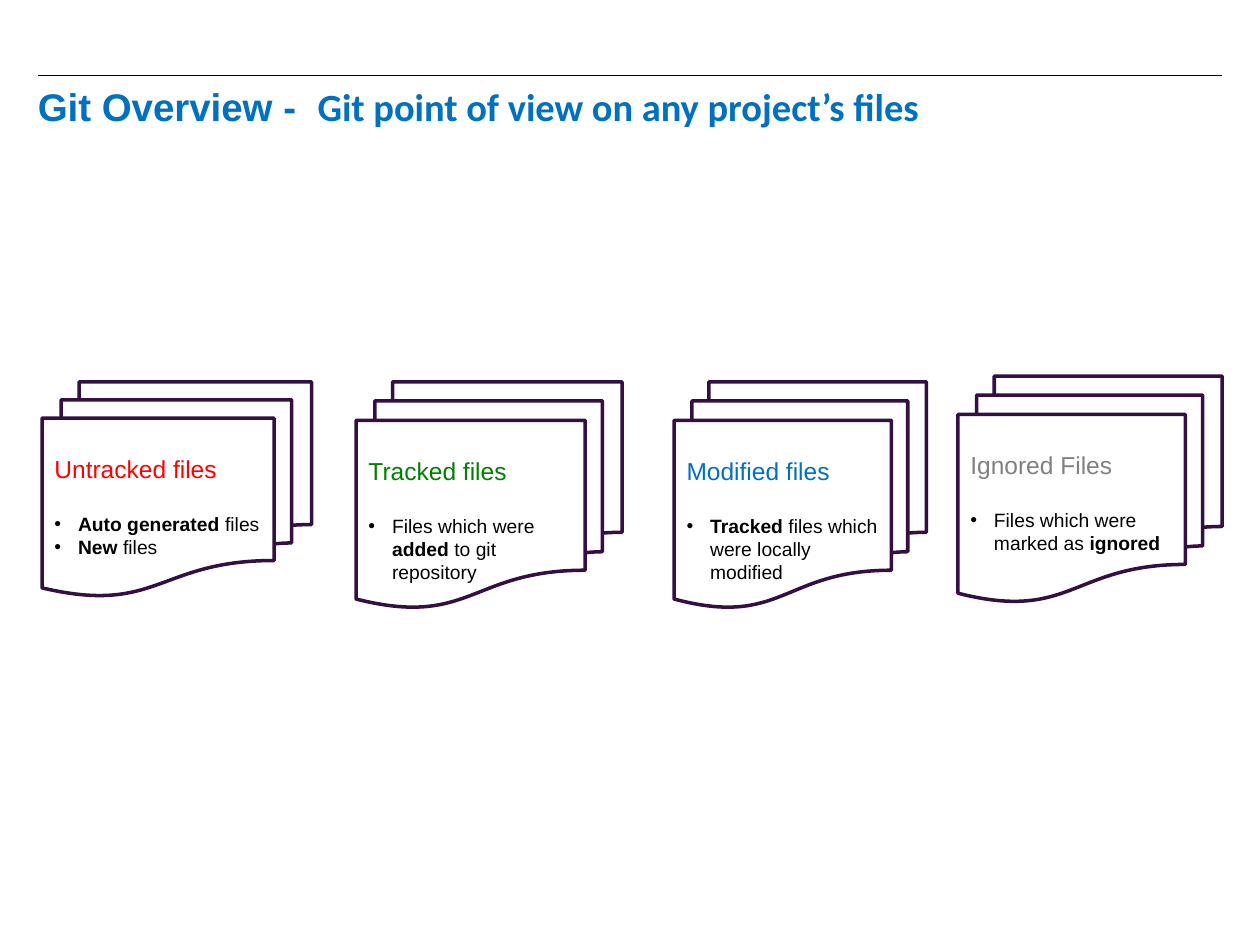
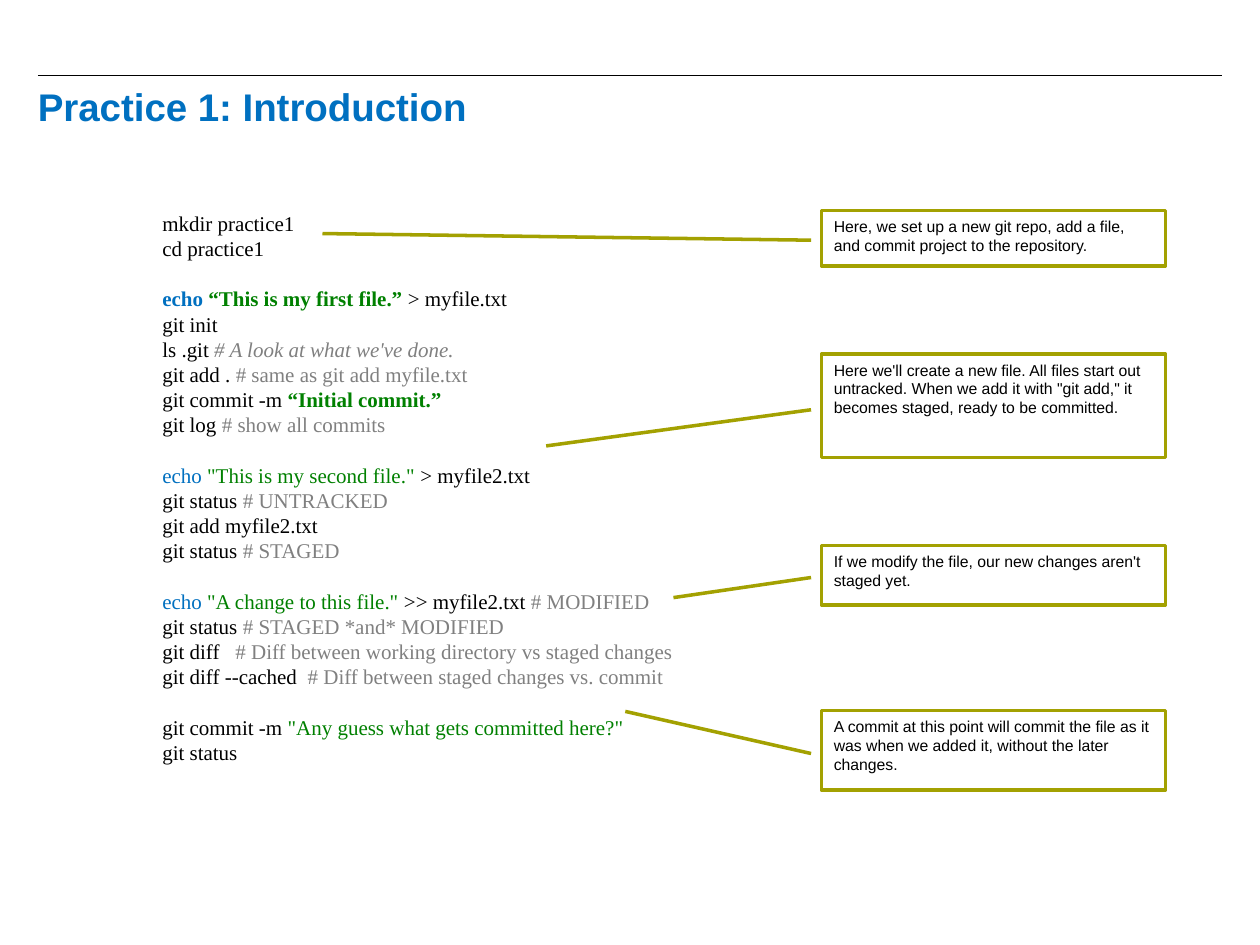
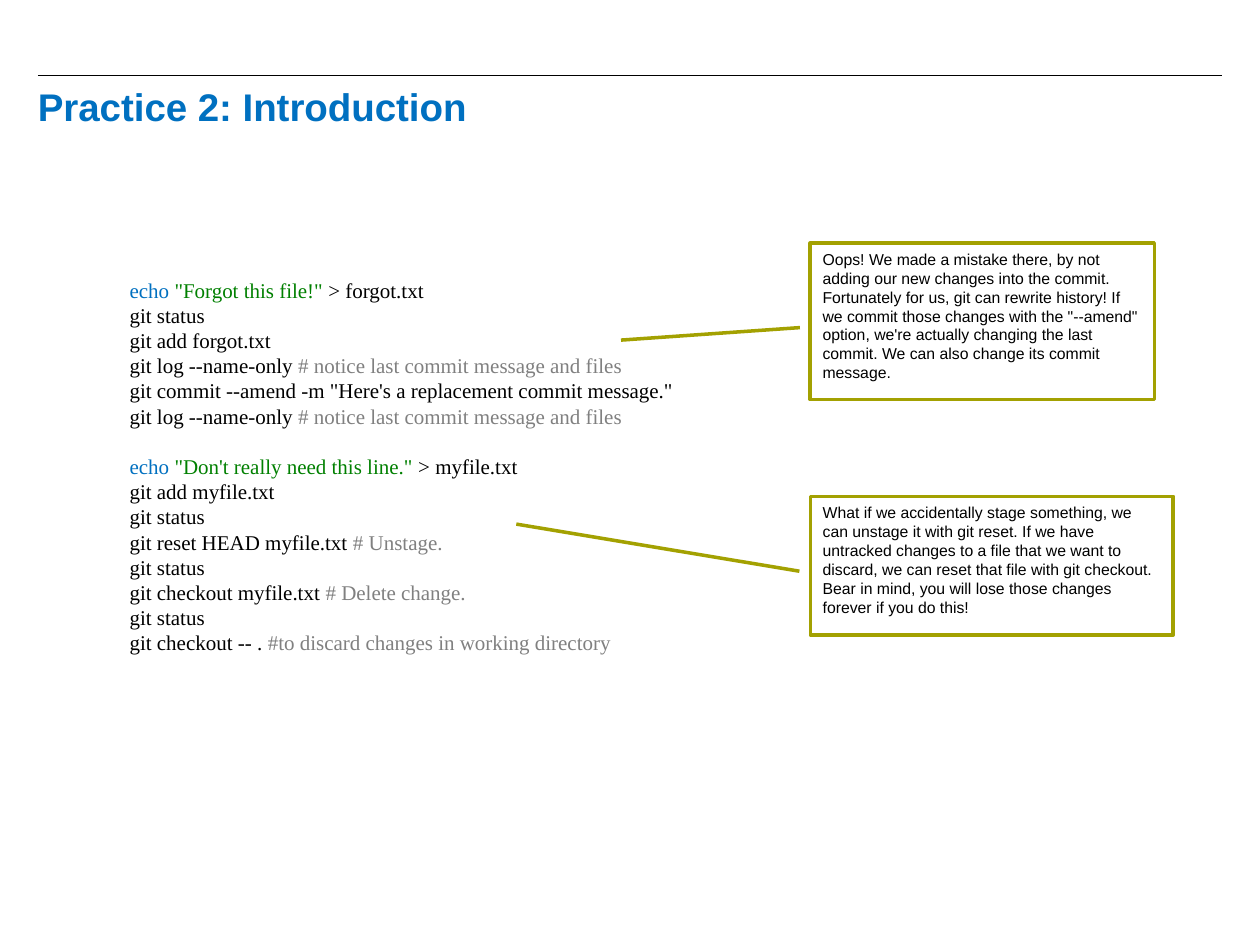
"""Build three slides on Git: file states and two command-line practices."""
import pptx
import pptx.dml.color
import pptx.enum.shapes
import pptx.enum.text
import pptx.oxml
import pptx.oxml.ns
import pptx.util

Pt = pptx.util.Pt
SHAPE = pptx.enum.shapes.MSO_SHAPE
TOP = pptx.enum.text.MSO_ANCHOR.TOP
ALIGN = pptx.enum.text.PP_ALIGN
NS = pptx.oxml.ns.nsdecls("a")

BLACK, WHITE, BLUE, GREEN = "000000", "FFFFFF", "0070C0", "008000"
RED, GRAY, PURPLE, OLIVE = "FF0000", "808080", "330F42", "A3A101"
CODE_LINE = 14.4
CARD_GAP = 16.6


def rgb(value):
    """Turn a hex string into a colour."""
    return pptx.dml.color.RGBColor.from_string(value)


def write(p, runs, size, font="Arial"):
    """Add runs given as (text, colour, optional style letters b and i)."""
    for text, color, *style in runs:
        r = p.add_run()
        r.text = text
        r.font.name = font
        r.font.size = Pt(size)
        r.font.color.rgb = rgb(color)
        r.font.bold = "b" in style
        r.font.italic = "i" in style


titles = [
    [("Git Overview -  ", BLUE, "b"), ("Git point of view on any project’s files", BLUE, "b")],
    [("Practice 1: Introduction", BLUE, "b")],
    [("Practice 2: Introduction", BLUE, "b")],
]

cards = [
    (24, 218.2, 154, 122.4, "Untracked files", RED,
     [[("Auto generated ", BLACK, "b"), ("files", BLACK)],
      [("New ", BLACK, "b"), ("files", BLACK)]]),
    (203.5, 218.2, 152, 129, "Tracked files", GREEN,
     [[("Files which were ", BLACK), ("added ", BLACK, "b"), ("to git repository", BLACK)]]),
    (385.2, 218.2, 144.2, 129, "Modified files", BLUE,
     [[("Tracked", BLACK, "b"), (" files which were locally modified", BLACK)]]),
    (547.4, 214.9, 151, 129, "Ignored Files", GRAY,
     [[("Files which were marked as ", BLACK), ("ignored", BLACK, "b")]]),
]

practice1 = [
    [
        [("mkdir practice1", BLACK)],
        [("cd practice1", BLACK)],
    ], [
        [("echo ", BLUE, "b"), ("“This is my first file.” ", GREEN, "b"), ("> myfile.txt", BLACK)],
        [("git init", BLACK)],
        [("ls .git ", BLACK), ("# A look at what we've done.", GRAY, "i")],
        [("git add . ", BLACK), ("# same as git add myfile.txt", GRAY)],
        [("git commit -m ", BLACK), ("“Initial commit.”", GREEN, "b")],
        [("git log ", BLACK), ("# show all commits", GRAY)],
    ], [
        [("echo ", BLUE), ("\"This is my second file.\" ", GREEN), ("> myfile2.txt", BLACK)],
        [("git status ", BLACK), ("# UNTRACKED", GRAY)],
        [("git add myfile2.txt", BLACK)],
        [("git status ", BLACK), ("# STAGED", GRAY)],
    ], [
        [("echo ", BLUE), ("\"A change to this file.\" ", GREEN), (">> myfile2.txt ", BLACK),
         ("# MODIFIED", GRAY)],
        [("git status ", BLACK), ("# STAGED *and* MODIFIED", GRAY)],
        [("git diff   ", BLACK), ("# Diff between working directory vs staged changes", GRAY)],
        [("git diff --cached  ", BLACK), ("# Diff between staged changes vs. commit", GRAY)],
    ], [
        [("git commit -m ", BLACK), ("\"Any guess what gets committed here?\"", GREEN)],
        [("git status", BLACK)],
    ],
]

name_only = [("git log --name-only ", BLACK), ("# notice last commit message and files", GRAY)]
status = [("git status", BLACK)]
practice2 = [
    [
        [("echo ", BLUE), ("\"Forgot this file!\" ", GREEN), ("> forgot.txt", BLACK)],
        status,
        [("git add forgot.txt", BLACK)],
        name_only,
        [("git commit --amend -m \"Here's a replacement commit message.\"", BLACK)],
        name_only,
    ], [
        [("echo ", BLUE), ("\"Don't really need this line.\" ", GREEN), ("> myfile.txt", BLACK)],
        [("git add myfile.txt", BLACK)],
        status,
        [("git reset HEAD myfile.txt ", BLACK), ("# Unstage.", GRAY)],
        status,
        [("git checkout myfile.txt ", BLACK), ("# Delete change.", GRAY)],
        status,
        [("git checkout -- . ", BLACK), ("#to discard changes in working directory", GRAY)],
    ],
]

listings = [
    (1, 85.7, 116.6, 332, 356.4, 3.6, practice1),
    (2, 67, 140.4, 329, 254.2, 3.6 + CODE_LINE, practice2),
]

callouts = [
    (1, 469.4, 120.2, 196.6, 31.7, 0.42, -1.45,
     "Here, we set up a new git repo, add a file, and commit project to the repository."),
    (1, 469.4, 202.3, 196.6, 59, 0.89, -0.8,
     "Here we'll create a new file. All files start out untracked. When we add it with "
     "\"git add,\" it becomes staged, ready to be committed."),
    (1, 469.4, 311.8, 196.6, 33.8, 0.88, -0.43,
     "If we modify the file, our new changes aren't staged yet."),
    (1, 469.4, 406.1, 196.6, 45.4, 0.01, -0.57,
     "A commit at this point will commit the file as it was when we added it, "
     "without the later changes."),
    (2, 463, 139, 196.6, 89.3, 0.62, -0.55,
     "Oops! We made a mistake there, by not adding our new changes into the commit. "
     "Fortunately for us, git can rewrite history! If we commit those changes with the "
     "\"--amend\" option, we're actually changing the last commit. We can also change its "
     "commit message."),
    (2, 463, 283.7, 207.4, 79.2, 0.2, -0.81,
     "What if we accidentally stage something, we can unstage it with git reset. If we have "
     "untracked changes to a file that we want to discard, we can reset that file with git "
     "checkout. Bear in mind, you will lose those changes forever if you do this!"),
]

prs = pptx.Presentation()
prs.slide_width, prs.slide_height = Pt(720), Pt(540)
layout = prs.slide_layouts[5]

for runs in titles:
    s = prs.slides.add_slide(layout)
    sp = s.shapes.title
    sp.left, sp.top, sp.width, sp.height = Pt(14.4), Pt(46.8), Pt(684), Pt(29.5)
    tf = sp.text_frame
    tf.auto_size = pptx.enum.text.MSO_AUTO_SIZE.NONE
    tf.vertical_anchor = TOP
    p = tf.paragraphs[0]
    p.alignment = ALIGN.LEFT
    p.line_spacing = 0.9
    write(p, runs, 22)
slides = list(prs.slides)
slides[0].shapes.title.text_frame.paragraphs[0].runs[1].font.name = "Calibri"

rule = slides[0].shapes.add_connector(
    pptx.enum.shapes.MSO_CONNECTOR.STRAIGHT, Pt(21.6), Pt(43.2), Pt(698.4), Pt(43.2))
rule.line.color.rgb = rgb(BLACK)
rule.line.width = Pt(0.75)
rule.element.spPr.append(pptx.oxml.parse_xml(f"<a:effectLst {NS}/>"))
layout.shapes.element.append(rule.element)

for x, y, w, h, heading, color, bullets in cards:
    sp = slides[0].shapes.add_shape(SHAPE.FLOWCHART_MULTIDOCUMENT, Pt(x), Pt(y), Pt(w), Pt(h))
    sp.shadow.inherit = False
    sp.fill.solid()
    sp.fill.fore_color.rgb = rgb(WHITE)
    sp.line.color.rgb = rgb(PURPLE)
    sp.line.width = Pt(2)
    tf = sp.text_frame
    tf.vertical_anchor = TOP
    tf.margin_top = Pt(3.6 + CARD_GAP)
    p = tf.paragraphs[0]
    p.alignment = ALIGN.LEFT
    write(p, [(heading, color)], 14)
    for i, runs in enumerate(bullets):
        p = tf.add_paragraph()
        p.alignment = ALIGN.LEFT
        pPr = p._p.get_or_add_pPr()
        pPr.set("marL", str(Pt(13.5)))
        pPr.set("indent", str(-Pt(13.5)))
        pPr.append(pptx.oxml.parse_xml(f'<a:buFont {NS} typeface="Arial"/>'))
        pPr.append(pptx.oxml.parse_xml(f'<a:buChar {NS} char="•"/>'))
        if i == 0:
            p.space_before = Pt(CARD_GAP)
        write(p, runs, 11)

for n, x, y, w, h, inset, groups in listings:
    tf = slides[n].shapes.add_textbox(Pt(x), Pt(y), Pt(w), Pt(h)).text_frame
    tf.word_wrap = True
    tf.margin_top = Pt(inset)
    for g, group in enumerate(groups):
        for i, runs in enumerate(group):
            p = tf.add_paragraph() if g or i else tf.paragraphs[0]
            p.alignment = ALIGN.JUSTIFY
            if g and i == 0:
                p.space_before = Pt(CODE_LINE)
            write(p, runs, 12, "Times New Roman")

for n, x, y, w, h, tip_y, tip_x, text in callouts:
    sp = slides[n].shapes.add_shape(SHAPE.LINE_CALLOUT_1, Pt(x), Pt(y), Pt(w), Pt(h))
    for i, value in enumerate((0.54, -0.03, tip_y, tip_x)):
        sp.adjustments[i] = value
    sp.shadow.inherit = False
    sp.fill.solid()
    sp.fill.fore_color.rgb = rgb(WHITE)
    sp.line.color.rgb = rgb(OLIVE)
    sp.line.width = Pt(2)
    tf = sp.text_frame
    tf.vertical_anchor = TOP
    p = tf.paragraphs[0]
    p.alignment = ALIGN.LEFT
    write(p, [(text, BLACK)], 9)

prs.save("out.pptx")
